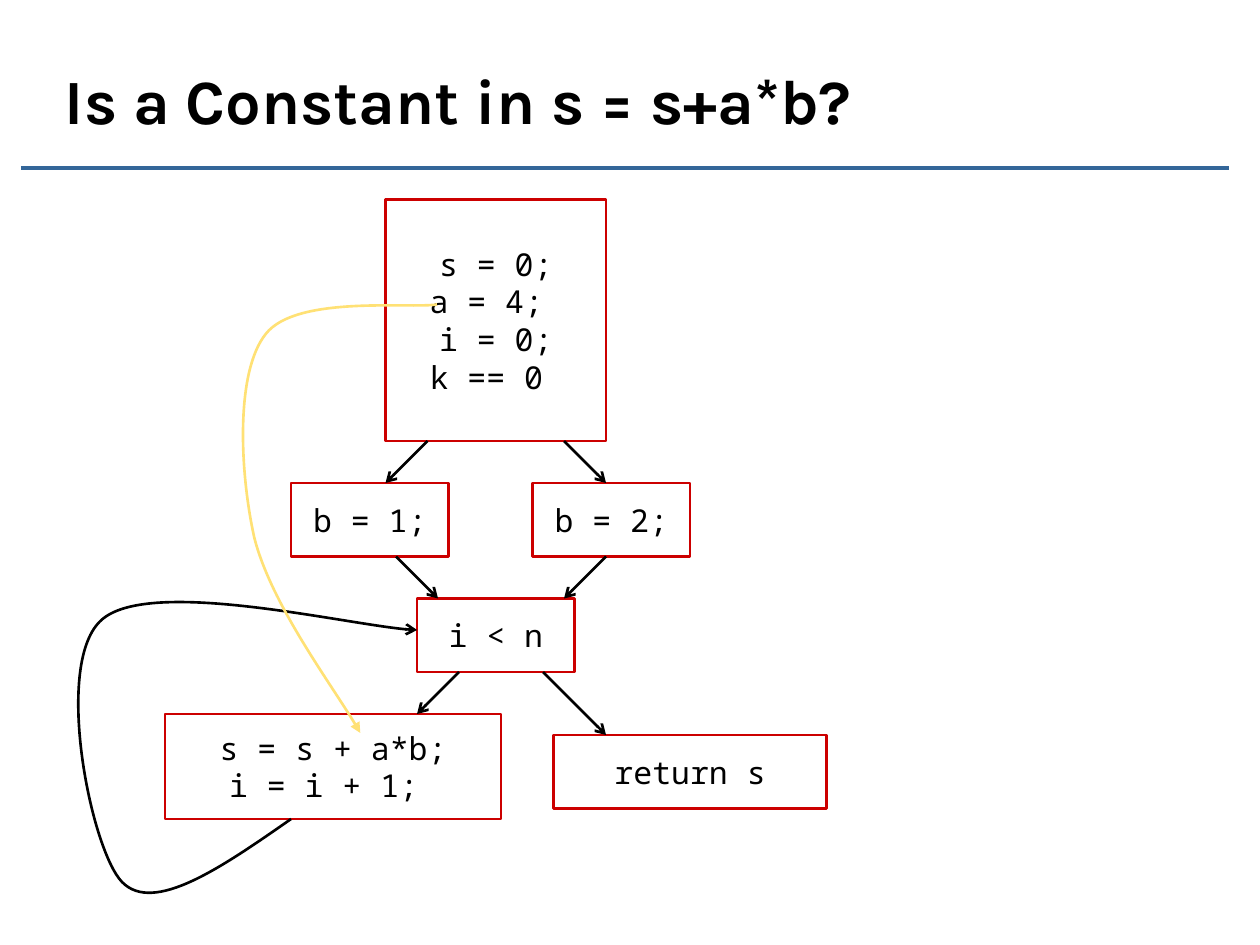
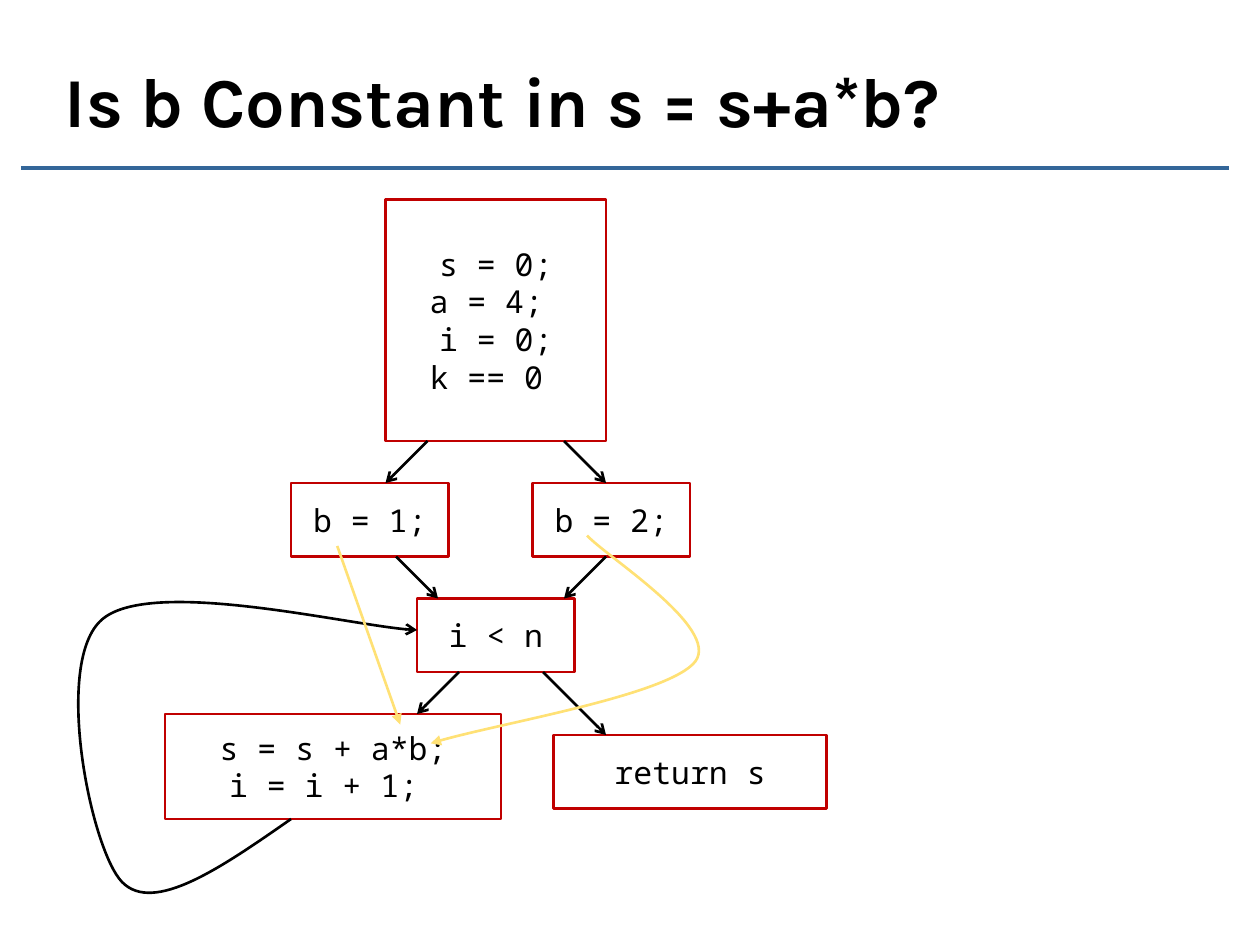
"""Two slides that ask which variables are constant in a control-flow graph."""
import dataclasses
import typing

import lxml.etree
import pptx
import pptx.dml.color
import pptx.enum.shapes
import pptx.enum.text
import pptx.oxml.ns
import pptx.util

Point = typing.Tuple[float, float]

COLOURS = {"ink": "000000", "rule": "336699", "flow": "FFE175",
           "red": "CC0000", "dark_red": "C00000"}
TITLE_FONT, CODE_FONT = "Karla", "Noto Sans Mono"
CODE_SIZE, CODE_PITCH = 18, 21.5
SLIDE_WIDTH, SLIDE_HEIGHT = pptx.util.Inches(10), pptx.util.Inches(7.5)

# The graph stands on a grid of twelfths of an inch.
CELL = pptx.util.Inches(1) // 12
GRID_LEFT, GRID_TOP = pptx.util.Inches(1.31), 19 * CELL


@dataclasses.dataclass(frozen=True)
class Block:
    """A basic block of the graph, placed in grid cells."""
    column: float
    row: float
    columns: float
    rows: float
    lines: typing.Tuple[str, ...]


@dataclasses.dataclass(frozen=True)
class Arrow:
    """A straight arrow for two points, a chain of Bezier curves for more."""
    points: typing.Tuple[Point, ...]
    colour: str = "ink"
    head: str = "arrow"


@dataclasses.dataclass(frozen=True)
class Question:
    """What sets one slide apart from the other."""
    title: str
    title_size: int
    border: str
    flows: typing.Tuple[Arrow, ...]


BLOCKS = (
    Block(21, 0, 21, 23, (" s = 0; ", "a = 4; ", "i = 0;", "k == 0 ")),
    Block(12, 27, 15, 7, ("b = 1;",)),
    Block(35, 27, 15, 7, ("b = 2;",)),
    Block(24, 38, 15, 7, ("i < n",)),
    Block(0, 49, 32, 10, ("s = s + a*b;", "i = i + 1; ")),
    Block(37, 51, 26, 7, ("return s",)),
)

EDGES = (
    Arrow(((25, 23), (21, 27))),
    Arrow(((38, 23), (42, 27))),
    Arrow(((22, 34), (26, 38))),
    Arrow(((42, 34), (38, 38))),
    Arrow(((28, 45), (24, 49))),
    Arrow(((36, 45), (42, 51))),
    Arrow(((12, 59), (5.4, 63.6), (-1.1, 68.1), (-4.1, 65), (-7.1, 61.9),
           (-10.7, 44), (-6, 40), (-1.4, 36), (19, 40.9), (24, 41))),
)

QUESTIONS = (
    Question("Is a Constant in s = s+a*b?", 36, "red", (
        Arrow(((25.9, 10), (23.2, 10.4), (12.5, 9.1), (9.6, 12.8),
               (6.7, 16.4), (7.1, 25.9), (8.5, 32.2), (10.1, 38.5),
               (16.4, 46.9), (18.6, 50.8)), "flow", "triangle"),
    )),
    Question("Is b Constant in s = s+a*b?", 40, "dark_red", (
        Arrow(((16.4, 33), (22.4, 50)), "flow", "triangle"),
        Arrow(((40.2, 32), (42, 34), (52.9, 40.8), (50.5, 44),
               (48, 47.2), (30.5, 50.1), (25.3, 51.8)), "flow", "triangle"),
    )),
)


def rgb(name: str) -> pptx.dml.color.RGBColor:
    """Look up a named colour."""
    return pptx.dml.color.RGBColor.from_string(COLOURS[name])


def on_grid(point: Point) -> typing.Tuple[int, int]:
    """Turn a column and a row into slide lengths."""
    column, row = point
    return round(GRID_LEFT + column * CELL), round(GRID_TOP + row * CELL)


def add_node(parent: typing.Any, tag: str, **attributes: str) -> typing.Any:
    """Append a drawing element to an XML parent."""
    return lxml.etree.SubElement(parent, pptx.oxml.ns.qn(tag), attributes)


def set_line(shape: typing.Any, colour: str, width: float) -> None:
    """Colour and size an outline or a line."""
    shape.line.color.rgb = rgb(colour)
    shape.line.width = pptx.util.Pt(width)


def set_font(paragraph: typing.Any, name: str, size: float, bold: bool = False) -> None:
    """Set the font of a whole paragraph."""
    paragraph.font.name = name
    paragraph.font.size = pptx.util.Pt(size)
    paragraph.font.bold = bold
    paragraph.font.color.rgb = rgb("ink")


def add_straight(shapes: typing.Any, start: Point, end: Point,
                 colour: str, width: float) -> typing.Any:
    """Draw a straight line without a shadow, between slide lengths."""
    line = shapes.add_connector(
        pptx.enum.shapes.MSO_CONNECTOR.STRAIGHT, *start, *end)
    set_line(line, colour, width)
    add_node(line.element.spPr, "a:effectLst")
    return line


def add_curve(shapes: typing.Any, points: typing.Sequence[Point],
              colour: str, width: float) -> typing.Any:
    """Draw Bezier curves: a start, then two controls and an end for each."""
    builder = shapes.build_freeform(*points[0])
    builder.add_line_segments(points[1:], close=False)
    curve = builder.convert_to_shape()
    curve.shadow.inherit = False
    curve.fill.background()
    set_line(curve, colour, width)
    outline = next(curve.element.iter(pptx.oxml.ns.qn("a:path")))
    outline.set("fill", "none")
    segments = outline.findall(pptx.oxml.ns.qn("a:lnTo"))
    for first in range(0, len(segments), 3):
        bezier = add_node(outline, "a:cubicBezTo")
        for segment in segments[first:first + 3]:
            bezier.append(segment[0])
            outline.remove(segment)
    return curve


def add_arrow(shapes: typing.Any, arrow: Arrow) -> None:
    """Draw an arrow of the graph, straight or curved."""
    points = [on_grid(point) for point in arrow.points]
    if len(points) == 2:
        shape = add_straight(shapes, *points, arrow.colour, 1.5)
    else:
        shape = add_curve(shapes, points, arrow.colour, 1.5)
    stroke = shape.element.spPr.find(pptx.oxml.ns.qn("a:ln"))
    add_node(stroke, "a:tailEnd", type=arrow.head)


def add_block(shapes: typing.Any, block: Block, border: str) -> None:
    """Draw a basic block with its lines of code."""
    box = shapes.add_shape(
        pptx.enum.shapes.MSO_SHAPE.RECTANGLE, *on_grid((block.column, block.row)),
        round(block.columns * CELL), round(block.rows * CELL))
    box.shadow.inherit = False
    box.fill.background()
    set_line(box, border, 1.5)
    frame = box.text_frame
    frame.word_wrap = False
    frame.vertical_anchor = pptx.enum.text.MSO_ANCHOR.MIDDLE
    frame.text = "\n".join(block.lines)
    for paragraph in frame.paragraphs:
        paragraph.alignment = pptx.enum.text.PP_ALIGN.CENTER
        paragraph.line_spacing = pptx.util.Pt(CODE_PITCH)
        set_font(paragraph, CODE_FONT, CODE_SIZE)


def add_heading(page: typing.Any, title: str, size: int) -> None:
    """Draw the rule and the title that every slide has."""
    rule_top = round(SLIDE_HEIGHT * 8 / 45)
    add_straight(page.shapes, (round(SLIDE_WIDTH / 60), rule_top),
                 (round(SLIDE_WIDTH * 0.975), rule_top), "rule", 2)
    box = page.shapes.add_textbox(
        round(SLIDE_WIDTH / 24), round(SLIDE_HEIGHT / 45),
        round(SLIDE_WIDTH * 11 / 12), round(SLIDE_HEIGHT / 6))
    frame = box.text_frame
    frame.word_wrap = True
    frame.vertical_anchor = pptx.enum.text.MSO_ANCHOR.MIDDLE
    frame.text = title
    set_font(frame.paragraphs[0], TITLE_FONT, size, bold=True)


def add_question(deck: typing.Any, question: Question) -> None:
    """Add a slide: heading, grouped graph and the flows into the sum."""
    page = deck.slides.add_slide(deck.slide_layouts[6])
    add_heading(page, question.title, question.title_size)
    graph = page.shapes.add_group_shape()
    for block in BLOCKS:
        add_block(graph.shapes, block, question.border)
    for edge in EDGES:
        add_arrow(graph.shapes, edge)
    for flow in question.flows:
        add_arrow(page.shapes, flow)


def main() -> None:
    """Build the deck and save it."""
    deck = pptx.Presentation()
    deck.slide_width, deck.slide_height = SLIDE_WIDTH, SLIDE_HEIGHT
    for question in QUESTIONS:
        add_question(deck, question)
    deck.save("out.pptx")


main()
